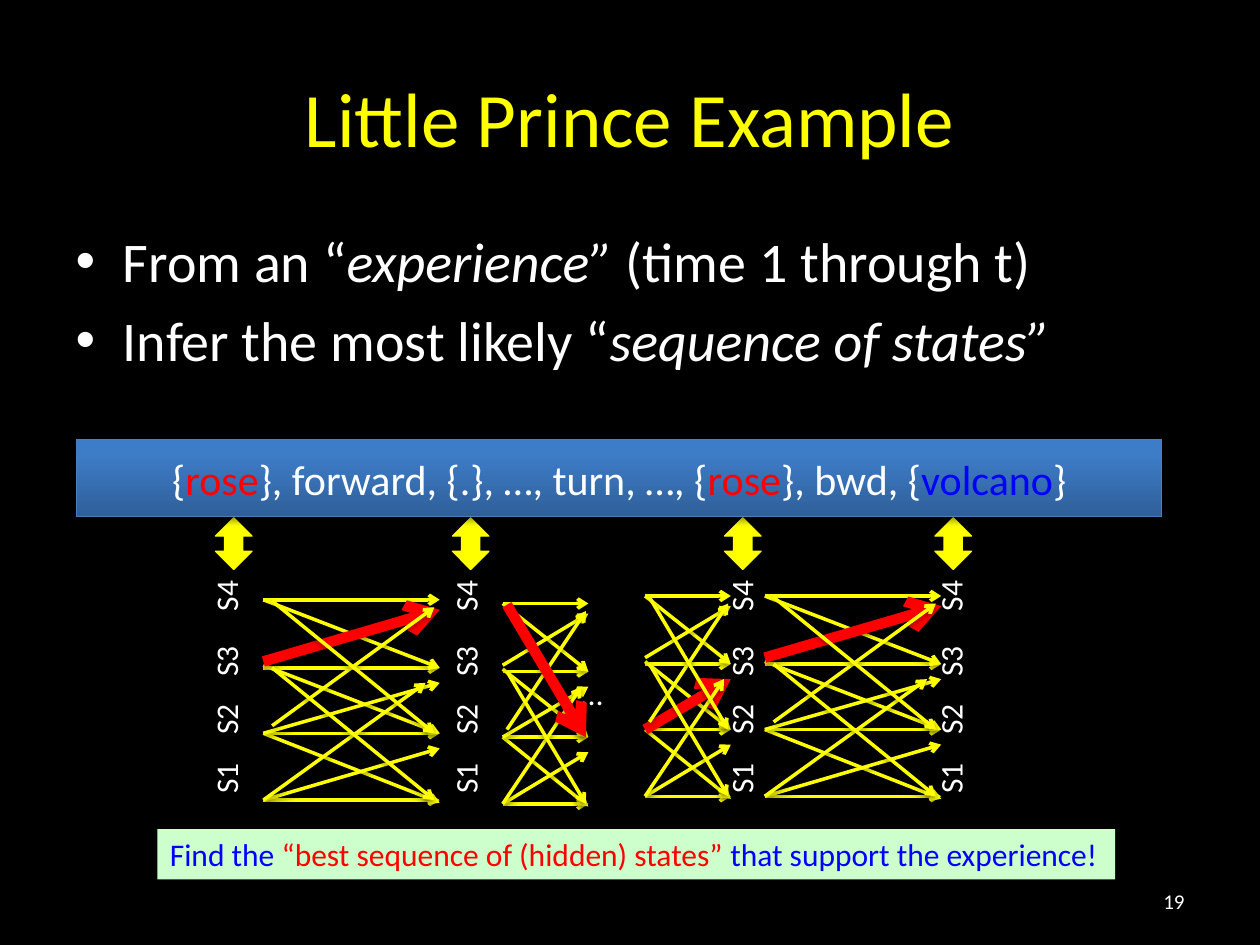
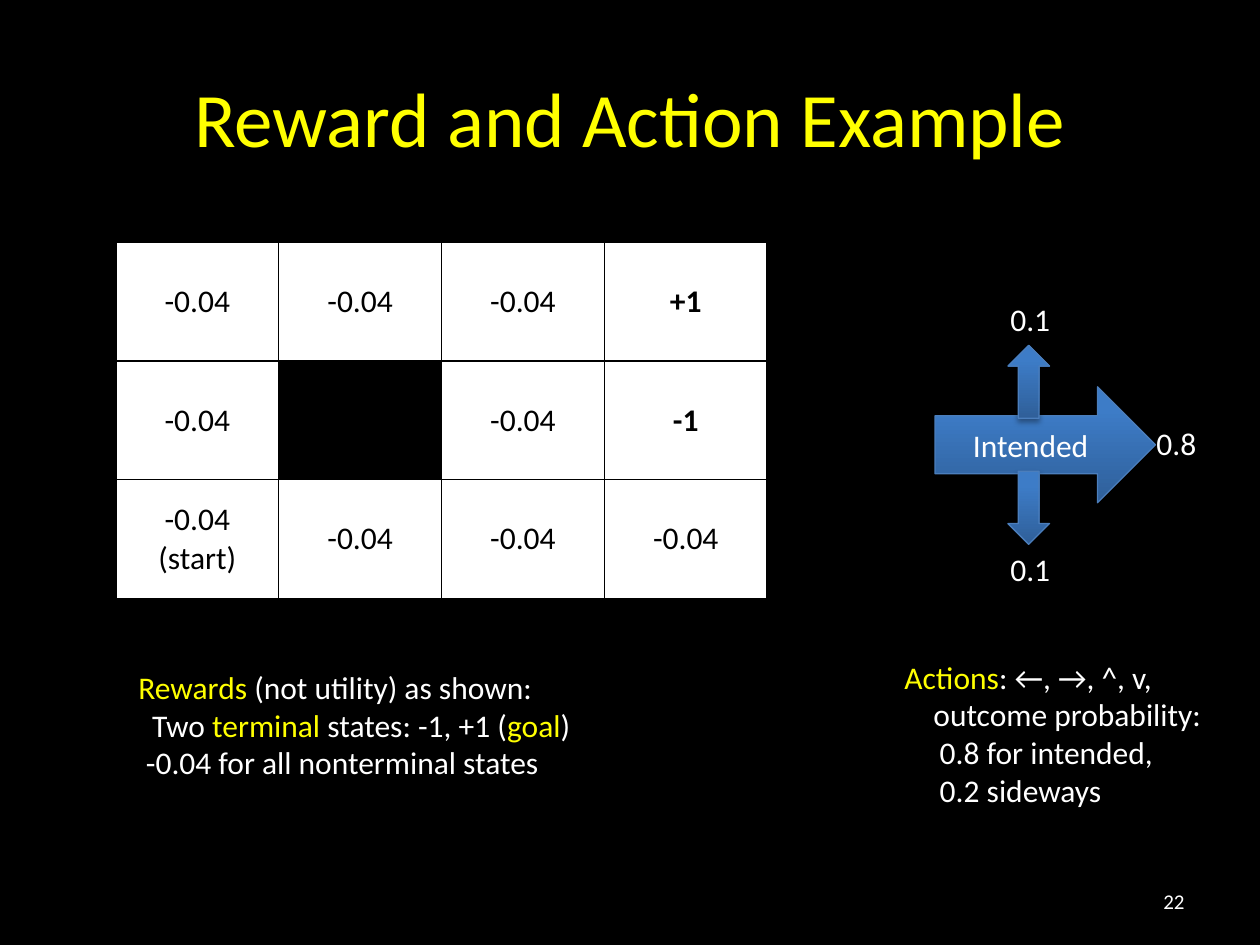
from dataclasses import dataclass
from lxml.etree import SubElement as Sub
from pptx import Presentation
from pptx.dml.color import RGBColor as RGB
from pptx.enum.shapes import MSO_CONNECTOR as Link, MSO_SHAPE as Kind
from pptx.enum.text import MSO_ANCHOR as Anchor, PP_ALIGN as Align
from pptx.oxml.ns import qn
from pptx.util import Inches, Pt


@dataclass(frozen=True)
class Theme:
    font: str = "Calibri"
    black: str = "000000"
    white: str = "FFFFFF"
    yellow: str = "FFFF00"
    red: str = "FF0000"
    blue: str = "0000FF"
    mint: str = "CCFFCC"
    dark: str = "2F5F99"
    light: str = "3D7CC7"
    edge: str = "4B7EBC"
    title: int = 44
    body: int = 32
    band: int = 24
    text: int = 18
    foot: int = 12


T = Theme()
Y, R, B = ({"color": c} for c in (T.yellow, T.red, T.blue))
ITAL, BOLD = {"italic": True}, {"bold": True}

POINTS = [
    ["From an “", ("experience” ", ITAL), "(time 1 through t)"],
    ["Infer the most likely “", ("sequence of states”", ITAL)],
]
BAND = [["{", ("rose", R), "}, forward, {.}, …, turn, …, {", ("rose", R),
         "}, bwd, {", ("volcano", B), "}"]]
CLAIM = [[("Find the", B), (" “best sequence of (hidden) states” ", R),
          ("that support the experience!", B)]]
STATES = [["S1\tS2\tS3\tS4"]]
STOPS = [0.47, 0.93, 1.45]
STEPS = [(1.64, 1.71), (3.54, 3.59), (5.73, 5.75), (7.39, 7.42)]

EDGES = [
    (0, 0.54, 1, 0.54), (0, 1.06, 1, 1.06), (0, 1.59, 1, 1.59), (0, 0, 1, 0),
    (0, 0, 1, 0.54), (0, 0.52, 1, 1.06), (0, 1.06, 1, 1.61),
    (0, 1.59, 1, 1.18), (0, 1.06, 1, 0.66), (0, 0.49, 1, 0.08),
    (0, 1.59, 0.92, 0.66), (0.05, 1, 0.97, 0.06),
    (0.05, 0.54, 0.97, 1.59), (0.05, 0.01, 0.97, 1.06),
]
WEBS = [(2.09, 4.76, 1.4, 9), (6.07, 4.73, 1.4, 9),
        (3.99, 4.79, 0.68, 13), (5.12, 4.73, 0.68, 8)]

COST = "-0.04"
GRID = [
    [COST, COST, COST, "+1"],
    [COST, None, COST, "-1"],
    [COST + "\n(start)", COST, COST, COST],
]
GOALS = ("+1", "-1")
MOVES = [[("Actions", Y), ": ←, →, ^, v,"], ["outcome probability:"],
         ["0.8 for intended,"], ["0.2 sideways"]]
NOTES = [[("Rewards ", Y), "(not utility) as shown:"],
         ["Two ", ("terminal ", Y), "states: -1, +1 (", ("goal", Y), ")"],
         ["-0.04 for all nonterminal states"]]
ARROWS = [
    (Kind.RIGHT_ARROW, (7.42, 3.07, 1.75, 0.92), [["Intended"]]),
    (Kind.UP_ARROW, (8, 2.74, 0.33, 0.58), None),
    (Kind.DOWN_ARROW, (8, 3.74, 0.33, 0.58), None),
]
ODDS = [("0.8", 9.08, 3.32), ("0.1", 7.92, 2.33), ("0.1", 7.92, 4.32)]


def inch(*spots):
    return [Inches(s) for s in spots]


def rgb(code):
    return RGB.from_string(code)


def write(frame, paras, size=T.text, color=T.white, align=None,
          anchor=Anchor.TOP, wrap=True, dents=(), tabs=()):
    frame.word_wrap = wrap
    frame.vertical_anchor = anchor
    for i, parts in enumerate(paras):
        para = frame.paragraphs[0] if i == 0 else frame.add_paragraph()
        if i == 0:
            para.space_before = Pt(0)
        if align is not None:
            para.alignment = align
        if dents:
            para._p.get_or_add_pPr().set("marL", str(Inches(dents[i])))
        if tabs:
            stops = Sub(para._p.get_or_add_pPr(), qn("a:tabLst"))
            for spot in tabs:
                Sub(stops, qn("a:tab"), pos=str(Inches(spot)), algn="l")
        for part in parts:
            words, form = part if isinstance(part, tuple) else (part, {})
            run = para.add_run()
            run.text = words
            font = run.font
            font.name, font.size = T.font, Pt(size)
            font.color.rgb = rgb(form.get("color", color))
            font.bold = form.get("bold", False)
            font.italic = form.get("italic", False)


def label(slide, at, paras, **form):
    box = slide.shapes.add_textbox(*inch(*at))
    write(box.text_frame, paras, **form)
    return box


def shade(shape, alpha, drop):
    props = shape._element.spPr
    for old in props.findall(qn("a:effectLst")):
        props.remove(old)
    cast = Sub(Sub(props, qn("a:effectLst")), qn("a:outerShdw"),
               blurRad=str(Pt(3.1)), dist=str(Pt(drop)), dir="5400000",
               rotWithShape="0")
    Sub(Sub(cast, qn("a:srgbClr"), val=T.black), qn("a:alpha"),
        val=str(alpha * 1000))


def block(shapes, kind, at, fill=None, edge=None, paras=None, **form):
    shape = shapes.add_shape(kind, *inch(*at))
    shape.shadow.inherit = False
    if fill:
        shape.fill.solid()
        shape.fill.fore_color.rgb = rgb(fill)
    else:
        shape.fill.gradient()
        shape.fill.gradient_angle = 90
        for stop, code, spot in zip(shape.fill.gradient_stops,
                                    (T.dark, T.light), (0, 0.8)):
            stop.color.rgb, stop.position = rgb(code), spot
    if edge:
        shape.line.color.rgb = rgb(edge)
        shape.line.width = Pt(0.75)
        shade(shape, 35, 1.8)
    else:
        shape.line.fill.background()
    if paras:
        write(shape.text_frame, paras, **form)


def arrow(shapes, start, end, color, width):
    line = shapes.add_connector(Link.STRAIGHT, *inch(*start, *end))
    line.line.color.rgb = rgb(color)
    line.line.width = Pt(width)
    Sub(line.line._get_or_add_ln(), qn("a:tailEnd"), type="arrow")
    shade(line, 38, 1.6)


def web(slide, left, top, width, hot):
    shapes = slide.shapes.add_group_shape().shapes
    for i, (x1, y1, x2, y2) in enumerate(EDGES):
        color, thick = (T.red, 6) if i == hot else (T.yellow, 2)
        arrow(shapes, (left + x1 * width, top + y1),
              (left + x2 * width, top + y2), color, thick)


def place(shape, at):
    shape.left, shape.top, shape.width, shape.height = inch(*at)


def start(deck, layout, title, page):
    slide = deck.slides.add_slide(deck.slide_layouts[layout])
    head = slide.shapes.title
    place(head, (0.5, 0.3, 9, 1.25))
    write(head.text_frame, [[title]], size=T.title, color=T.yellow,
          align=Align.CENTER, anchor=Anchor.MIDDLE)
    label(slide, (7.17, 6.95, 2.33, 0.4), [[page]], size=T.foot,
          align=Align.RIGHT, anchor=Anchor.MIDDLE)
    return slide


def prince(deck):
    slide = start(deck, 1, "Little Prince Example", "19")
    body = slide.placeholders[1]
    place(body, (0.5, 1.75, 9.2, 4.95))
    write(body.text_frame, POINTS, size=T.body)
    for left, _ in STEPS:
        box = label(slide, (left, 4.5, 0.4, 1.8), STATES, tabs=STOPS)
        frame = box.text_frame
        frame.margin_left = frame.margin_right = 0
        frame.margin_top = frame.margin_bottom = 0
        frame._txBody.bodyPr.set("vert", "vert270")
    label(slide, (4.34, 5.3, 0.57, 0.4), [["……"]], wrap=False)
    for spot in WEBS:
        web(slide, *spot)
    for _, left in STEPS:
        block(slide.shapes, Kind.UP_DOWN_ARROW, (left, 4.11, 0.29, 0.41),
              T.yellow, T.yellow)
    block(slide.shapes, Kind.RECTANGLE, (1.25, 6.58, 7.6, 0.4), T.mint,
          paras=CLAIM, wrap=False, align=Align.LEFT)
    block(slide.shapes, Kind.RECTANGLE, (0.61, 3.49, 8.61, 0.61),
          edge=T.edge, paras=BAND, size=T.band, align=Align.CENTER,
          anchor=Anchor.MIDDLE)


def border(cell):
    props = cell._tc.get_or_add_tcPr()
    for side in "LRTB":
        line = Sub(props, qn("a:ln" + side), w=str(Pt(1)))
        Sub(Sub(line, qn("a:solidFill")), qn("a:srgbClr"), val=T.black)


def reward(deck):
    slide = start(deck, 5, "Reward and Action Example", "22")
    table = slide.shapes.add_table(
        len(GRID), len(GRID[0]), *inch(0.92, 1.92, 5.17, 2.83)).table
    table.first_row = table.horz_banding = False
    for r, row in enumerate(GRID):
        for c, words in enumerate(row):
            cell = table.cell(r, c)
            border(cell)
            cell.fill.solid()
            cell.fill.fore_color.rgb = rgb(T.white if words else T.black)
            cell.vertical_anchor = Anchor.MIDDLE
            if words:
                form = BOLD if words in GOALS else {}
                write(cell.text_frame,
                      [[(w, form)] for w in words.split("\n")],
                      color=T.black, align=Align.CENTER,
                      anchor=Anchor.MIDDLE)
    label(slide, (7.08, 5.17, 2.58, 1.31), MOVES,
          dents=(0, 0.23, 0.28, 0.28))
    group = slide.shapes.add_group_shape().shapes
    for kind, at, paras in ARROWS:
        block(group, kind, at, edge=T.edge, paras=paras,
              align=Align.CENTER, anchor=Anchor.MIDDLE)
    for odds, left, top in ODDS:
        label(slide, (left, top, 0.52, 0.4), [[odds]], wrap=False)
    label(slide, (1, 5.25, 3.79, 1.01), NOTES, dents=(0, 0.11, 0.06))


def main():
    deck = Presentation()
    deck.slide_width, deck.slide_height = inch(10, 7.5)
    back = deck.slide_master.background.fill
    back.solid()
    back.fore_color.rgb = rgb(T.black)
    prince(deck)
    reward(deck)
    deck.save("out.pptx")


if __name__ == "__main__":
    main()
